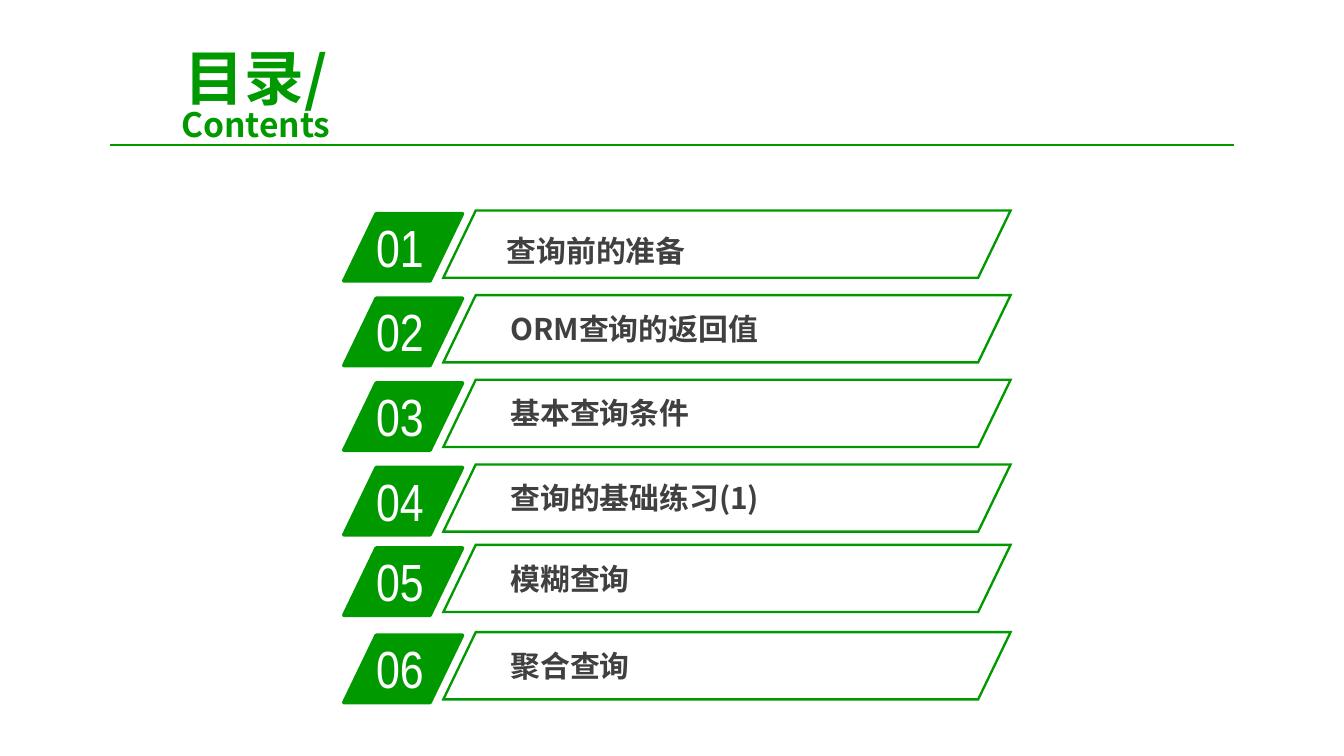
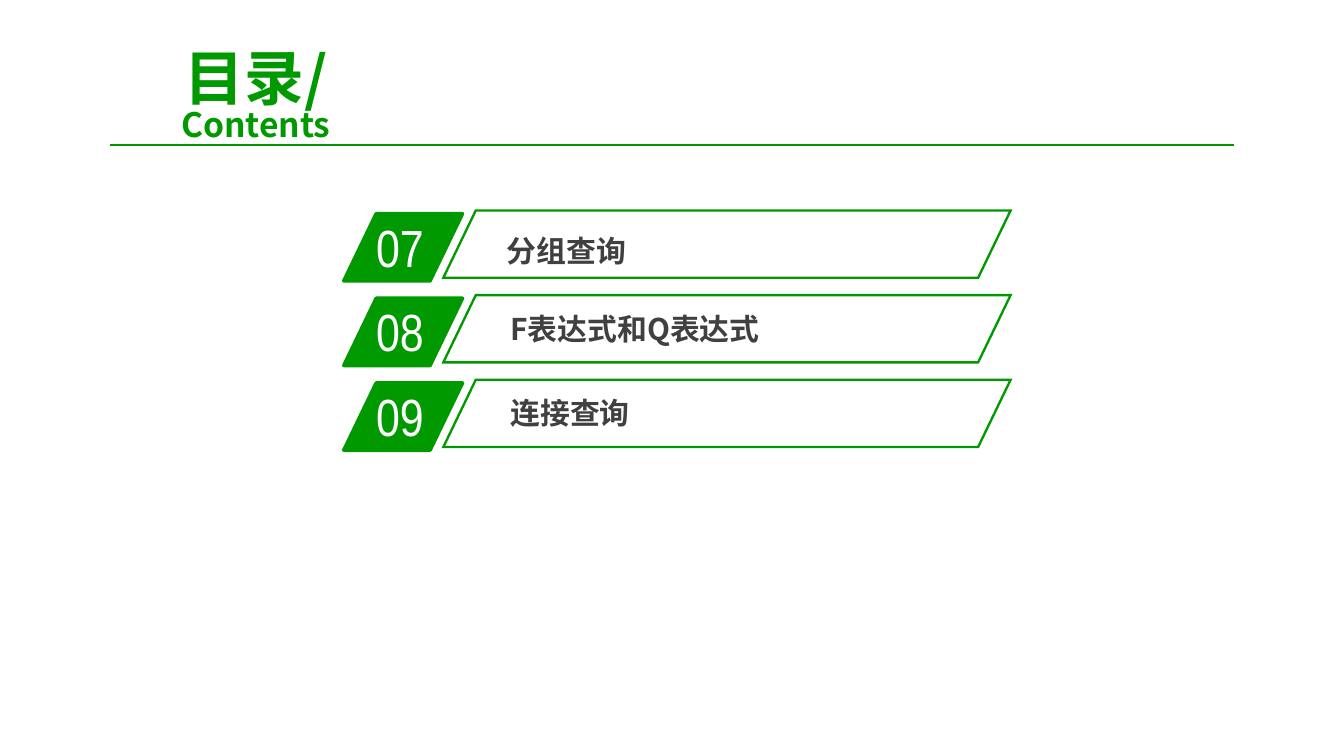
from dataclasses import dataclass

from lxml.etree import SubElement
from pptx import Presentation
from pptx.dml.color import RGBColor
from pptx.enum.shapes import MSO_CONNECTOR as Connector, MSO_SHAPE as Preset
from pptx.enum.text import MSO_ANCHOR as Anchor, MSO_AUTO_SIZE as AutoSize, PP_ALIGN as Align
from pptx.oxml.ns import qn
from pptx.shapes.autoshape import Shape
from pptx.slide import Slide
from pptx.text.text import _Run as Run
from pptx.util import Cm, Length, Pt

GREEN = RGBColor(0x00, 0x99, 0x00)
GREY = RGBColor(0x40, 0x40, 0x40)
WHITE = RGBColor(0xFF, 0xFF, 0xFF)

HEADING_FONT = "Noto Sans CJK SC"
NUMBER_FONT = "Arial Narrow"
TITLE_ONLY = 5
SLANT = 0.482

ROW_TOPS = (4.04, 5.64, 7.24, 8.84, 10.36, 12.01)
CONTENTS_PAGES = (
    ("查询前的准备", "ORM查询的返回值", "基本查询条件",
     "查询的基础练习(1)", "模糊查询", "聚合查询"),
    ("分组查询", "F表达式和Q表达式", "连接查询"),
)


@dataclass(frozen=True)
class Entry:
    number: int
    label: str
    top: float
    label_left: float = 9.47
    label_drop: float = 0.13


def style_run(run: Run, font_name: str, size: float, color: RGBColor, bold: bool = False) -> None:
    """Format a run, using the same typeface for Latin and Chinese text."""
    font = run.font
    font.name, font.size, font.bold = font_name, Pt(size), bold
    font.color.rgb = color
    SubElement(run._r.get_or_add_rPr(), qn("a:ea"), typeface=font_name)


def add_title(slide: Slide) -> None:
    title = slide.shapes.title
    title.left, title.top, title.width, title.height = Cm(1.7), Cm(1.19), Cm(6.27), Cm(1.37)
    frame = title.text_frame
    frame.text = "目录/\vContents"
    frame.auto_size = AutoSize.NONE
    frame.vertical_anchor = Anchor.MIDDLE
    paragraph = frame.paragraphs[0]
    paragraph.alignment = Align.CENTER
    paragraph.line_spacing = 0.8
    paragraph.space_before = Pt(6.4)
    for run, size in zip(paragraph.runs, (32, 18)):
        style_run(run, HEADING_FONT, size, GREEN, bold=True)


def add_title_rule(slide: Slide) -> None:
    rule = slide.shapes.add_connector(Connector.STRAIGHT, Cm(2.08), Cm(2.74), Cm(23.32), Cm(2.74))
    rule.line.color.rgb = GREEN
    rule.line.width = Pt(0.75)
    SubElement(rule._element.spPr, qn("a:effectLst"))


def add_parallelogram(slide: Slide, left: Length, top: Length, width: Length,
                      line_width: float, join: str, filled: bool) -> None:
    shape = slide.shapes.add_shape(Preset.PARALLELOGRAM, left, top, width, Cm(1.27))
    shape.adjustments[0] = SLANT
    if filled:
        shape.fill.solid()
        shape.fill.fore_color.rgb = GREEN
    else:
        shape.fill.background()
    shape.line.color.rgb = GREEN
    shape.line.width = Pt(line_width)
    SubElement(shape.line._get_or_add_ln(), qn(f"a:{join}"))
    shape.shadow.inherit = False


def add_text(slide: Slide, text: str, left: Length, top: Length,
             width: Length, height: Length) -> Shape:
    box = slide.shapes.add_textbox(left, top, width, height)
    frame = box.text_frame
    frame.text = text
    frame.word_wrap = True
    frame.auto_size = AutoSize.SHAPE_TO_FIT_TEXT
    return box


def add_entry(slide: Slide, entry: Entry) -> None:
    add_parallelogram(slide, Cm(6.5), Cm(entry.top), Cm(2.24), 2, "round", filled=True)
    number = add_text(slide, f"{entry.number:02}", Cm(6.86), Cm(entry.top - 0.1),
                      Cm(2.13), Cm(1.45))
    style_run(number.text_frame.paragraphs[0].runs[0], NUMBER_FONT, 28, WHITE)

    label = add_text(slide, entry.label, Cm(entry.label_left),
                     Cm(entry.top + entry.label_drop), Cm(8.56), Cm(0.89))
    frame = label.text_frame
    frame.margin_left = frame.margin_right = Cm(0.18)
    frame.margin_top = frame.margin_bottom = Cm(0.1)
    style_run(frame.paragraphs[0].runs[0], HEADING_FONT, 16, GREY, bold=True)
    add_parallelogram(slide, Cm(8.38), Cm(entry.top - 0.06), Cm(10.72), 1.25, "miter", filled=False)


def page_entries(labels: tuple[str, ...], first_number: int) -> list[Entry]:
    """Number the labels; the top one sits slightly lower and further left."""
    first, *others = zip(labels, ROW_TOPS)
    entries = [Entry(first_number, *first, label_left=9.4, label_drop=0.25)]
    entries += [Entry(number, label, top)
                for number, (label, top) in enumerate(others, first_number + 1)]
    return entries


def main() -> None:
    presentation = Presentation()
    presentation.slide_width, presentation.slide_height = Cm(25.4), Cm(14.29)
    first_number = 1
    for labels in CONTENTS_PAGES:
        slide = presentation.slides.add_slide(presentation.slide_layouts[TITLE_ONLY])
        add_title(slide)
        add_title_rule(slide)
        for entry in page_entries(labels, first_number):
            add_entry(slide, entry)
        first_number += len(labels)
    presentation.save("out.pptx")


if __name__ == "__main__":
    main()
